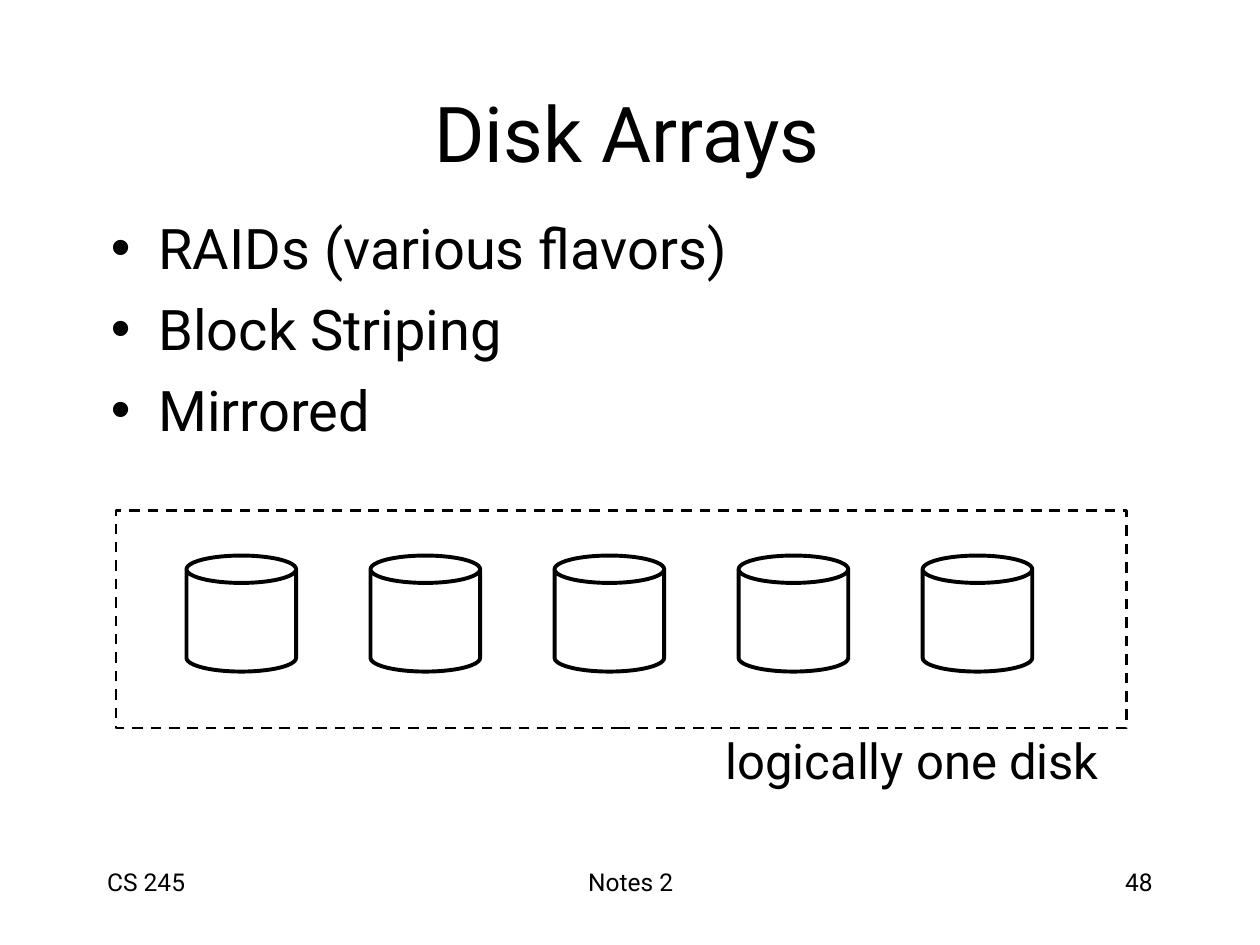
import lxml.etree
import pptx
import pptx.dml.color
import pptx.enum.dml
import pptx.enum.shapes
import pptx.enum.text
import pptx.oxml.ns
import pptx.util

Cm, Pt = pptx.util.Cm, pptx.util.Pt
ALIGN = pptx.enum.text.PP_ALIGN
SHAPE = pptx.enum.shapes.MSO_SHAPE
BLACK, WHITE = "000000", "FFFFFF"
FONT = "Roboto"


def rgb(hex_code):
    return pptx.dml.color.RGBColor.from_string(hex_code)


def add_run(paragraph, text, size):
    run = paragraph.add_run()
    run.text = text
    run.font.name = FONT
    run.font.size = Pt(size)
    run.font.color.rgb = rgb(BLACK)


def place(holder, left, top, width, height):
    """Position a placeholder, with lengths in centimetres."""
    holder.left, holder.top = Cm(left), Cm(top)
    holder.width, holder.height = Cm(width), Cm(height)
    holder.text_frame.auto_size = pptx.enum.text.MSO_AUTO_SIZE.NONE


def fill_title(title, text):
    place(title, 1.85, 1.3, 21.59, 2.72)
    title.text_frame.vertical_anchor = pptx.enum.text.MSO_ANCHOR.MIDDLE
    heading = title.text_frame.paragraphs[0]
    heading.alignment = ALIGN.CENTER
    add_run(heading, text, 44)


def set_bullet(paragraph, indent):
    props = paragraph._p.get_or_add_pPr()
    props.set("marL", str(indent))
    props.set("indent", str(-indent))
    qn = pptx.oxml.ns.qn
    colour = lxml.etree.SubElement(props, qn("a:buClr"))
    lxml.etree.SubElement(colour, qn("a:srgbClr"), val=BLACK)
    lxml.etree.SubElement(props, qn("a:buChar"), char="•")


def fill_topics(body, topics):
    place(body, 1.98, 4.17, 21.59, 4.9)
    for index, topic in enumerate(topics):
        frame = body.text_frame
        paragraph = frame.add_paragraph() if index else frame.paragraphs[0]
        set_bullet(paragraph, Cm(0.96))
        paragraph.space_before = Pt(8 if index else 0)
        add_run(paragraph, topic, 32)


def add_label(slide, text, left, top, width, height, size, align=ALIGN.LEFT):
    label = slide.shapes.add_textbox(Cm(left), Cm(top), Cm(width), Cm(height))
    label.text_frame.word_wrap = True
    paragraph = label.text_frame.paragraphs[0]
    paragraph.alignment = align
    add_run(paragraph, text, size)


def add_outlined(slide, kind, left, top, width, height, weight):
    outlined = slide.shapes.add_shape(
        kind, Cm(left), Cm(top), Cm(width), Cm(height))
    outlined.shadow.inherit = False
    outlined.line.color.rgb = rgb(BLACK)
    outlined.line.width = Pt(weight)
    return outlined


def add_disk_array(slide, count):
    for index in range(count):
        disk = add_outlined(
            slide, SHAPE.CAN, 3.76 + 3.71 * index, 11.2, 2.21, 2.34, 2.25)
        disk.adjustments[0] = 0.25
        disk.fill.solid()
        disk.fill.fore_color.rgb = rgb(WHITE)
    logical_disk = add_outlined(
        slide, SHAPE.RECTANGLE, 2.34, 10.29, 20.37, 4.39, 1.5)
    logical_disk.fill.background()
    logical_disk.line.dash_style = pptx.enum.dml.MSO_LINE.DASH
    add_label(slide, "logically one disk", 14.38, 14.61, 8.38, 1.45, 28)


def add_footer(slide):
    for text, left, width, align in (
        ("CS 245", 1.91, 5.28, ALIGN.LEFT),
        ("Notes 2", 8.69, 8.05, ALIGN.CENTER),
        ("48", 18.21, 5.28, ALIGN.RIGHT),
    ):
        add_label(slide, text, left, 17.35, width, 1.27, 14, align)


def main():
    deck = pptx.Presentation()
    deck.slide_width, deck.slide_height = Cm(25.4), Cm(19.05)
    slide = deck.slides.add_slide(deck.slide_layouts[1])
    slide.background.fill.solid()
    slide.background.fill.fore_color.rgb = rgb(WHITE)
    fill_title(slide.shapes.title, "Disk Arrays")
    fill_topics(slide.placeholders[1],
                ("RAIDs (various flavors)", "Block Striping", "Mirrored"))
    add_disk_array(slide, 5)
    add_footer(slide)
    deck.save("out.pptx")


if __name__ == "__main__":
    main()
